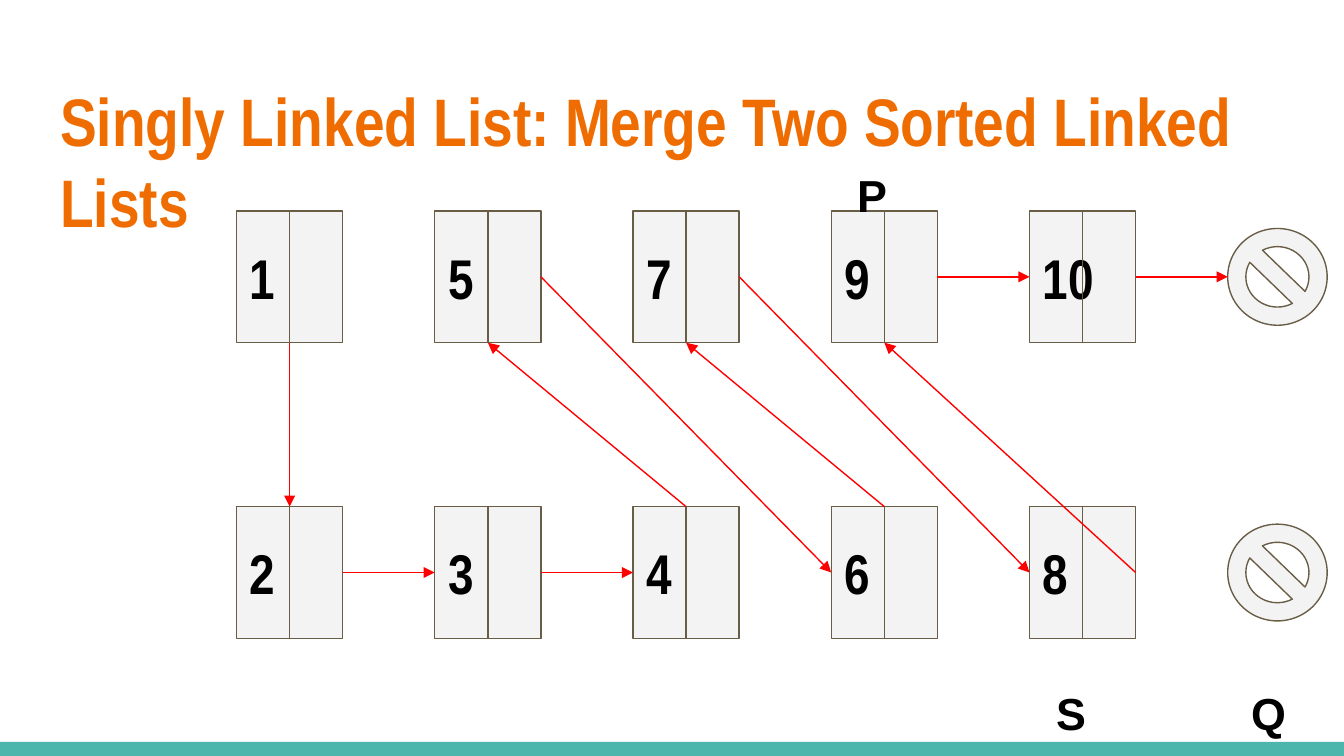
from pptx import Presentation
from pptx.dml.color import RGBColor
from pptx.enum.shapes import MSO_CONNECTOR, MSO_SHAPE
from pptx.enum.text import MSO_ANCHOR, PP_ALIGN
from pptx.oxml.ns import qn
from pptx.util import Inches, Pt
from lxml.etree import SubElement

COLORS = {"title": "EF6C00", "bar": "4DB6AC", "node": "F3F3F3",
          "outline": "695D46", "arrow": "FF0000", "text": "000000"}
TITLE_FORMAT = {"name": "Arial Narrow", "size": Pt(36), "bold": True}
VALUE_FORMAT = {"name": "Arial Narrow", "size": Pt(30), "bold": True}
POINTER_FORMAT = {"name": "Arial", "size": Pt(24), "bold": True}
INSETS = ("margin_left", "margin_top", "margin_right", "margin_bottom")


def write_text(shape, text, font_format, color, anchor=MSO_ANCHOR.TOP):
    frame = shape.text_frame
    frame.word_wrap = True
    frame.vertical_anchor = anchor
    for inset in INSETS:
        setattr(frame, inset, Inches(0.1))
    paragraph = frame.paragraphs[0]
    paragraph.text = text
    paragraph.alignment = PP_ALIGN.LEFT
    for attribute, value in font_format.items():
        setattr(paragraph.font, attribute, value)
    paragraph.font.color.rgb = RGBColor.from_string(COLORS[color])


def add_line(slide, start, end, color, arrowhead=False):
    points = [Inches(value) for value in (*start, *end)]
    connector = slide.shapes.add_connector(MSO_CONNECTOR.STRAIGHT, *points)
    connector.line.color.rgb = RGBColor.from_string(COLORS[color])
    connector.line.width = Pt(0.75)
    properties = connector._element.spPr
    if arrowhead:
        SubElement(properties.find(qn("a:ln")), qn("a:tailEnd"), type="triangle")
    SubElement(properties, qn("a:effectLst"))


presentation = Presentation()
presentation.slide_width = Inches(10)
presentation.slide_height = presentation.slide_width * 9 // 16
slide = presentation.slides.add_slide(presentation.slide_layouts[6])

bar = slide.shapes.add_shape(MSO_SHAPE.RECTANGLE, Inches(0), Inches(5.52), Inches(10), Inches(0.11))
bar.shadow.inherit = False
bar.fill.solid()
bar.fill.fore_color.rgb = RGBColor.from_string(COLORS["bar"])
bar.line.fill.background()

title = slide.shapes.add_textbox(Inches(0.35), Inches(0.49), Inches(9.32), Inches(0.77))
write_text(title, "Singly Linked List: Merge Two Sorted Linked Lists", TITLE_FORMAT, "title")

node_width, node_height = 0.79, 0.98
first_left, last_left = 1.76, 7.66
column_step = (last_left - first_left) / 4
lists = [(1.57, ["1", "5", "7", "9", "10", None]),
         (3.77, ["2", "3", "4", "6", "8", None])]
anchors = {}
for top, values in lists:
    for column, value in enumerate(values):
        left = first_left + column * column_step
        center, middle = left + node_width / 2, top + node_height / 2
        if value:
            shape = slide.shapes.add_shape(MSO_SHAPE.RECTANGLE, Inches(left), Inches(top),
                                           Inches(node_width), Inches(node_height))
            write_text(shape, value, VALUE_FORMAT, "text", MSO_ANCHOR.MIDDLE)
            add_line(slide, (center, top), (center, top + node_height), "outline")
        else:
            shape = slide.shapes.add_shape(MSO_SHAPE.NO_SYMBOL, Inches(left), Inches(middle - 0.36),
                                           Inches(0.74), Inches(0.72))
            shape.adjustments[0] = 0.188
            value = "end" if top == lists[0][0] else "unlinked"
        shape.shadow.inherit = False
        shape.fill.solid()
        shape.fill.fore_color.rgb = RGBColor.from_string(COLORS["node"])
        shape.line.color.rgb = RGBColor.from_string(COLORS["outline"])
        shape.line.width = Pt(0.75)
        anchors[value] = {"left": (left, middle), "right": (left + node_width, middle),
                          "top": (center, top), "bottom": (center, top + node_height)}

links = [("1", "bottom", "2", "top"), ("2", "right", "3", "left"),
         ("3", "right", "4", "left"), ("4", "top", "5", "bottom"),
         ("5", "right", "6", "left"), ("6", "top", "7", "bottom"),
         ("7", "right", "8", "left"), ("8", "right", "9", "bottom"),
         ("9", "right", "10", "left"), ("10", "right", "end", "left")]
for source, source_side, target, target_side in links:
    add_line(slide, anchors[source][source_side], anchors[target][target_side], "arrow", True)

for name, left, top in [("P", 6.28, 1.15), ("Q", 9.21, 5), ("S", 7.76, 5)]:
    pointer = slide.shapes.add_textbox(Inches(left), Inches(top), Inches(0.59), Inches(0.36))
    write_text(pointer, name, POINTER_FORMAT, "text")

presentation.save("out.pptx")
